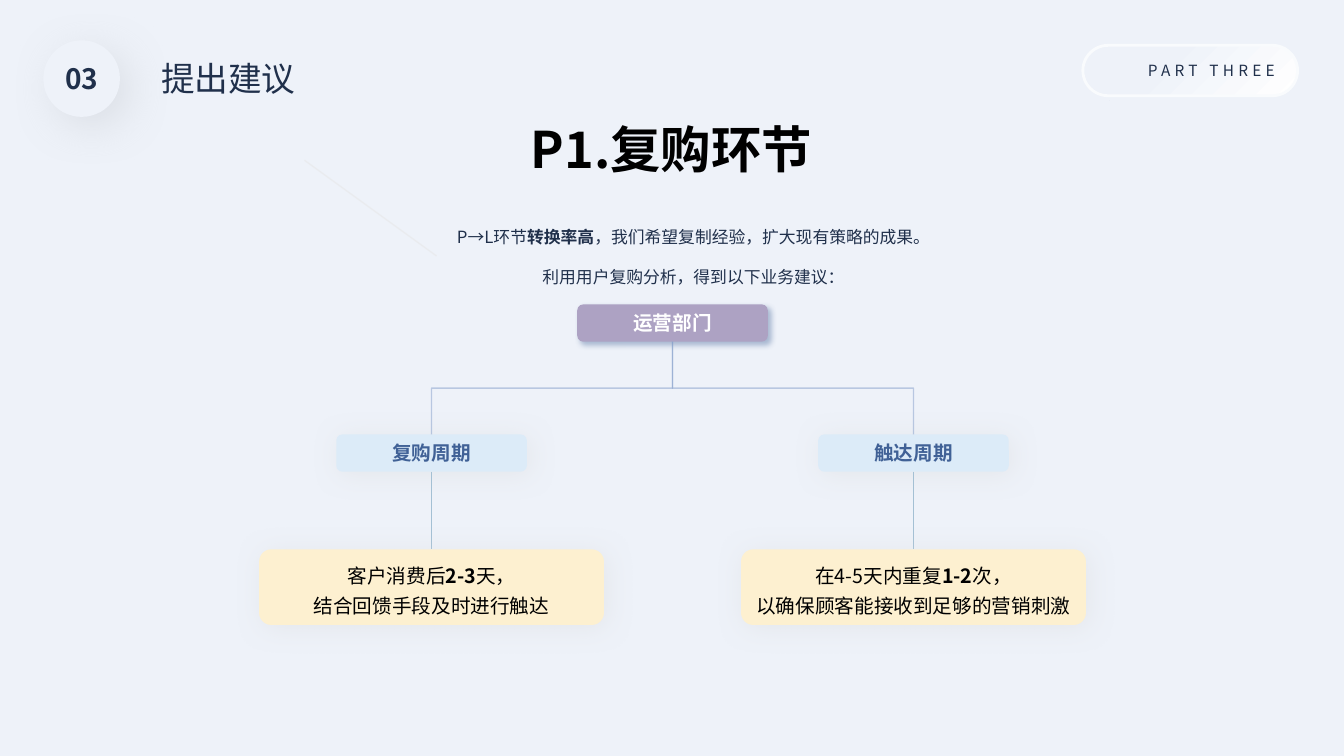
from math import cos, radians, sin

from lxml.etree import SubElement
from pptx import Presentation
from pptx.dml.color import RGBColor
from pptx.enum.shapes import MSO_CONNECTOR as Link, MSO_SHAPE as Shape
from pptx.enum.text import MSO_ANCHOR as Anchor, PP_ALIGN as Align
from pptx.oxml.ns import qn
from pptx.util import Inches, Pt

FONT = "Noto Sans CJK SC"
NAVY, PALE, WHITE, BLACK = "20304B", "EEF2F9", "FFFFFF", "000000"
BLUE, SKY, CREAM, PURPLE = "406196", "DCEBF8", "FDF0D0", "ADA2C3"
SOFT_SHADOW = ("D8D8D8", 40, 20, 3)


def color(value):
    return RGBColor.from_string(value)


def write(shape, paragraphs, size, ink, align=Align.CENTER, spacing=None,
          anchor=Anchor.TOP, insets=(0.1, 0.05), tracking=None, wrap=True):
    frame = shape.text_frame
    frame.word_wrap = wrap
    frame.vertical_anchor = anchor
    frame.margin_left = frame.margin_right = Inches(insets[0])
    frame.margin_top = frame.margin_bottom = Inches(insets[1])
    for index, spans in enumerate(paragraphs):
        para = frame.add_paragraph() if index else frame.paragraphs[0]
        para.alignment = align
        if spacing:
            para.line_spacing = spacing
        for text, bold in spans:
            span = para.add_run()
            span.text = text
            span.font.size = Pt(size)
            span.font.bold = bold
            span.font.name = FONT
            span.font.color.rgb = color(ink)
            properties = span.font._element
            SubElement(properties, qn("a:ea")).set("typeface", FONT)
            if tracking:
                properties.set("spc", str(tracking * 100))


def add_text(page, left, top, width, height, paragraphs, size, ink, **style):
    box = page.shapes.add_textbox(Inches(left), Inches(top), Inches(width), Inches(height))
    write(box, paragraphs, size, ink, **style)


def add_panel(page, kind, left, top, width, height, fill=None, corner=None, shadow=None):
    panel = page.shapes.add_shape(kind, Inches(left), Inches(top), Inches(width), Inches(height))
    panel.shadow.inherit = False
    panel.line.fill.background()
    if corner is not None:
        panel.adjustments[0] = corner
    if fill:
        panel.fill.solid()
        panel.fill.fore_color.rgb = color(fill)
    if shadow:
        tint, alpha, blur, distance = shadow
        effects = panel._element.spPr.find(qn("a:effectLst"))
        outer = SubElement(effects, qn("a:outerShdw"), blurRad=str(Pt(blur)),
                           dist=str(Pt(distance)), dir="2700000", algn="tl", rotWithShape="0")
        base = SubElement(outer, qn("a:srgbClr"), val=tint)
        SubElement(base, qn("a:alpha"), val=str(alpha * 1000))
    return panel


def add_line(page, start, end, ink, alpha=None, kind=Link.STRAIGHT):
    line = page.shapes.add_connector(kind, *(Inches(value) for value in (*start, *end)))
    line.line.width = Pt(1)
    line.line.color.rgb = color(ink)
    properties = line._element.spPr
    if alpha:
        base = next(properties.iter(qn("a:srgbClr")))
        SubElement(base, qn("a:alpha"), val=str(alpha * 1000))
    SubElement(properties, qn("a:effectLst"))
    return line


def add_branch(page, start, end):
    middle_x, middle_y = (start[0] + end[0]) / 2, (start[1] + end[1]) / 2
    half_drop, half_span = (end[1] - start[1]) / 2, abs(end[0] - start[0]) / 2
    side = 1 if end[0] > start[0] else -1
    branch = add_line(page, (middle_x + side * half_drop, middle_y - half_span),
                      (middle_x - side * half_drop, middle_y + half_span),
                      "839ECA", 50, Link.ELBOW)
    degrees = 270 if side > 0 else 90
    branch._element.spPr.find(qn("a:xfrm")).set("rot", str(degrees * 60000))


def arc(x, y, radius, first=0, last=360):
    return [(x + radius * cos(radians(angle)), y + radius * sin(radians(angle)))
            for angle in range(first, last + 1, 10)]


def draw_clock(page, x, y):
    contours = [arc(x, y, radius) for radius in (0.155, 0.145, 0.13, 0.12)]
    for side, first in ((-1, 135), (1, 225)):
        for radius, shift in ((0.05, 0.12), (0.036, 0.126)):
            contours.append(arc(x + side * shift, y - shift, radius, first, first + 180))
        contours.append([(x + side * dx, y + dy) for dx, dy in
                         ((0.07, 0.145), (0.08, 0.138), (0.1, 0.158), (0.09, 0.165))])
    contours.append([(x + dx, y + dy) for dx, dy in
                     ((-0.006, -0.085), (0.006, -0.085), (0.006, -0.025), (0.025, -0.006),
                      (0.065, -0.006), (0.065, 0.006), (0.025, 0.006), (0, 0.025),
                      (-0.025, 0), (-0.006, -0.025))])
    contours.append(arc(x, y, 0.012))
    unit = Inches(1)
    builder = page.shapes.build_freeform(*contours[0][0], scale=unit)
    for index, points in enumerate(contours):
        if index:
            builder.move_to(*points[0])
        builder.add_line_segments(points[1:], close=True)
    clock = builder.convert_to_shape()
    clock.shadow.inherit = False
    clock.fill.solid()
    clock.fill.fore_color.rgb = color(NAVY)
    clock.line.fill.background()


def draw_part_badge(page, left, top, width, height):
    pill = add_panel(page, Shape.ROUNDED_RECTANGLE, left, top, width, height, corner=0.5)
    pill.fill.gradient()
    pill.fill.gradient_angle = 315
    for stop, tint, position in zip(pill.fill.gradient_stops, (PALE, WHITE), (0.35, 1)):
        stop.color.rgb = color(tint)
        stop.position = position
    pill.line.color.rgb = color("F9FBFD")
    pill.line.width = Pt(2)
    draw_clock(page, left + 0.31, top + 0.26)
    add_text(page, left + 0.48, top + 0.11, width - 0.54, 0.29,
             [[("PART THREE", False)]], 11, NAVY, tracking=3)


def draw_heading(page, left, top, diameter):
    disc = add_panel(page, Shape.OVAL, left, top, diameter, diameter, PALE,
                     shadow=("CACED4", 50, 30, 10))
    write(disc, [[("03", True)]], 20, NAVY, anchor=Anchor.MIDDLE, insets=(0, 0.05), wrap=False)
    add_text(page, left + 1.07, top + 0.13, 4.47, 0.5,
             [[("提出建议", False)]], 24, NAVY, align=Align.LEFT)


def draw_introduction(page, left, top, width):
    add_text(page, left, top, width, 0.7, [[("P1.复购环节", True)]], 36, BLACK)
    add_text(page, left + 3.64, top + 0.81, 5.04, 0.99,
             [[("P→L环节", False), ("转换率高", True),
               ("，我们希望复制经验，扩大现有策略的成果。利用用户复购分析，得到以下业务建议：", False)]],
             12, NAVY, spacing=2, insets=(0.12, 0.12))
    add_line(page, (left + 3.61, top + 1.42), (left + 2.3, top + 0.47), "E6E6E6", 50)


def add_label(page, center, top, text, fill, ink, shadow):
    label = add_panel(page, Shape.ROUNDED_RECTANGLE, center - 0.945, top, 1.89, 0.37,
                      fill, 0.16, shadow)
    write(label, [[(text, True)]], 14, ink, anchor=Anchor.MIDDLE)


def draw_advice_tree(page, center, top, reach):
    label_top, advice_top = top + 1.29, top + 2.43
    add_label(page, center, top, "运营部门", PURPLE, WHITE, (BLUE, 40, 4, 3))
    branches = (
        (-1, "复购周期", [[("客户消费后", False), ("2-3", True), ("天，", False)],
                      [("结合回馈手段及时进行触达", False)]]),
        (1, "触达周期", [[("在4-5天内重复", False), ("1-2", True), ("次，", False)],
                     [("以确保顾客能接收到足够的营销刺激", False)]]),
    )
    for side, title, advice in branches:
        x = center + side * reach
        add_label(page, x, label_top, title, SKY, BLUE, SOFT_SHADOW)
        add_branch(page, (center, top + 0.37), (x, label_top))
        add_line(page, (x, label_top + 0.37), (x, advice_top), "A4C0D4")
        card = add_panel(page, Shape.ROUNDED_RECTANGLE, x - 1.71, advice_top, 3.42, 0.75,
                         CREAM, 0.16, SOFT_SHADOW)
        write(card, advice, 14, BLACK, spacing=1.3, anchor=Anchor.MIDDLE)


def main():
    deck = Presentation()
    deck.slide_width, deck.slide_height = Inches(13.33), Inches(7.5)
    page = deck.slides.add_slide(deck.slide_layouts[6])
    page.background.fill.solid()
    page.background.fill.fore_color.rgb = color(PALE)
    draw_part_badge(page, 10.74, 0.45, 2.13, 0.5)
    draw_heading(page, 0.43, 0.4, 0.76)
    draw_introduction(page, 0.72, 1.12, 11.88)
    draw_advice_tree(page, 6.67, 3.02, 2.39)
    deck.save("out.pptx")


if __name__ == "__main__":
    main()
